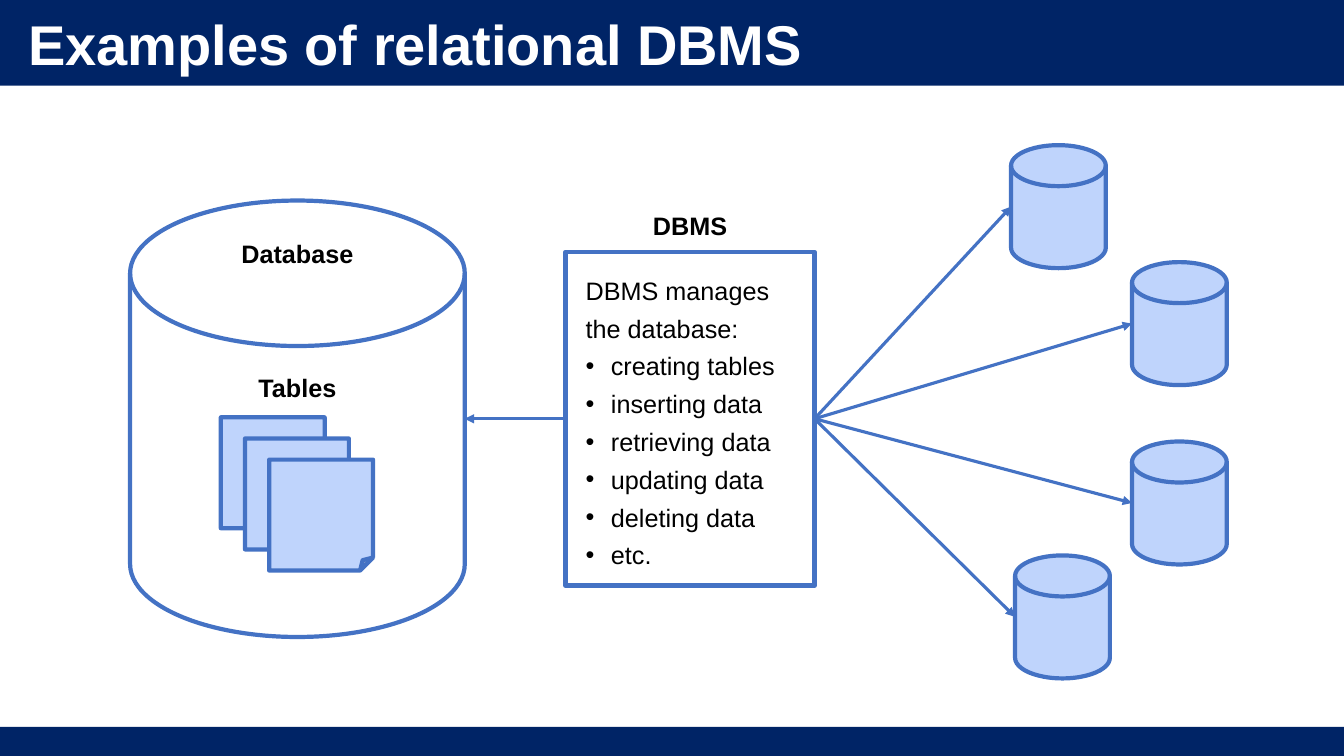
from lxml.etree import SubElement
from pptx import Presentation
from pptx.dml.color import RGBColor
from pptx.enum.shapes import MSO_CONNECTOR as Connector, MSO_SHAPE as Preset
from pptx.enum.text import MSO_ANCHOR as Anchor, PP_ALIGN as Align
from pptx.oxml.ns import qn
from pptx.util import Inches, Pt

NAVY = RGBColor(0x00, 0x24, 0x66)
BLUE = RGBColor(0x44, 0x72, 0xC4)
PALE = RGBColor(0xBF, 0xD4, 0xFC)
WHITE = RGBColor(0xFF, 0xFF, 0xFF)
BLACK = RGBColor(0x00, 0x00, 0x00)

WIDTH, HEIGHT = Inches(13.333), Inches(7.5)
RIGHT_SIDE, LEFT_SIDE = 3, 1
TASKS = ["creating tables", "inserting data", "retrieving data",
         "updating data", "deleting data", "etc."]

# Positions and sizes are percentages of the slide's width and height
DATABASE = (9.68, 26.53, 24.9, 57.73)
MANAGER = (42.08, 33.33, 18.53, 44.13)
SHEET_START, SHEET_STEP, SHEET_SIZE = (16.43, 55.2), (1.8, 2.8), (7.73, 14.67)
DISK_SIZE = (7.05, 16.27)
DISK_CORNERS = [(75.23, 19.2), (84.23, 34.67), (84.23, 58.4), (75.53, 73.47)]


def across(share):
    return round(WIDTH * share / 100)


def down(share):
    return round(HEIGHT * share / 100)


def place(left, top, width, height):
    return across(left), down(top), across(width), down(height)


def add_figure(page, preset, area, fill=None, line=None):
    figure = page.shapes.add_shape(preset, *place(*area))
    figure.shadow.inherit = False
    if fill is None:
        figure.fill.background()
    else:
        figure.fill.solid()
        figure.fill.fore_color.rgb = fill
    if line is None:
        figure.line.fill.background()
    else:
        figure.line.color.rgb = line
        figure.line.width = Pt(3)
    return figure


def add_sheet(page, area):
    """Draw a sheet whose folded corner takes an eighth of its width."""
    sheet = add_figure(page, Preset.FOLDED_CORNER, area, PALE, BLUE)
    guides = next(sheet._element.iter(qn("a:avLst")))
    for guide in list(guides):
        guides.remove(guide)
    SubElement(guides, qn("a:gd"), name="adj", fmla="val 12500")


def style(para, size=18, color=BLACK, bold=False, align=Align.LEFT):
    para.alignment = align
    font = para.font
    font.name, font.size, font.bold = "Arial", Pt(size), bold
    font.color.rgb = color


def add_text(page, text, area, **look):
    box = page.shapes.add_textbox(*place(*area))
    frame = box.text_frame
    frame.word_wrap = True
    frame.vertical_anchor = Anchor.MIDDLE
    frame.text = text
    style(frame.paragraphs[0], **look)


def add_label(page, text, center, top):
    add_text(page, text, (center - 5, top, 10, 5.33), bold=True, align=Align.CENTER)


def add_bullet(para):
    props = para._p.get_or_add_pPr()
    props.set("marL", str(Inches(0.25)))
    props.set("indent", str(-Inches(0.25)))
    bullet_font = props.makeelement(qn("a:buFont"), {"typeface": "Arial"})
    bullet = props.makeelement(qn("a:buChar"), {"char": "•"})
    props.find(qn("a:defRPr")).addprevious(bullet_font)
    bullet_font.addnext(bullet)


def fill_manager(manager):
    frame = manager.text_frame
    frame.word_wrap = True
    frame.vertical_anchor = Anchor.MIDDLE
    frame.margin_left = frame.margin_right = Inches(0.2)
    frame.margin_top = frame.margin_bottom = Inches(0.2)
    frame.text = "\n".join(["DBMS manages the database:"] + TASKS)
    for index, para in enumerate(frame.paragraphs):
        style(para)
        para.line_spacing = 1.25
        if index:
            add_bullet(para)


def add_arrow(page, source, side, left, top):
    """Draw an arrow from one side of the source to a point on the slide."""
    arrow = page.shapes.add_connector(Connector.STRAIGHT, 0, 0, across(left), down(top))
    arrow.begin_connect(source, side)
    arrow.line.color.rgb = BLUE
    arrow.line.width = Pt(2.25)
    outline = arrow._element.spPr.find(qn("a:ln"))
    SubElement(outline, qn("a:tailEnd"), type="triangle")
    SubElement(arrow._element.spPr, qn("a:effectLst"))


def main():
    deck = Presentation()
    deck.slide_width, deck.slide_height = WIDTH, HEIGHT
    page = deck.slides.add_slide(deck.slide_layouts[6])

    # Bands and title
    add_figure(page, Preset.RECTANGLE, (0, 0, 100, 11.33), NAVY)
    add_figure(page, Preset.RECTANGLE, (0, 96.13, 100, 3.87), NAVY)
    add_text(page, "Examples of relational DBMS", (1.35, 1.87, 65.55, 7.6),
             size=40, color=WHITE, bold=True)

    # Database with its stack of tables
    left, top, width, height = DATABASE
    add_figure(page, Preset.FLOWCHART_MAGNETIC_DISK, DATABASE, WHITE, BLUE)
    add_label(page, "Database", left + width / 2, 30.8)
    add_label(page, "Tables", left + width / 2, 48.53)
    for index in range(3):
        corner = [start + index * step for start, step in zip(SHEET_START, SHEET_STEP)]
        add_sheet(page, (*corner, *SHEET_SIZE))

    # Management system
    manager = add_figure(page, Preset.RECTANGLE, MANAGER, line=BLUE)
    fill_manager(manager)
    add_label(page, "DBMS", MANAGER[0] + MANAGER[2] / 2, 27.2)
    add_arrow(page, manager, LEFT_SIDE, left + width, top + height / 2)

    # Managed databases
    for left, top in DISK_CORNERS:
        add_figure(page, Preset.FLOWCHART_MAGNETIC_DISK, (left, top, *DISK_SIZE), PALE, BLUE)
        add_arrow(page, manager, RIGHT_SIDE, left, top + DISK_SIZE[1] / 2)

    deck.save("out.pptx")


if __name__ == "__main__":
    main()
